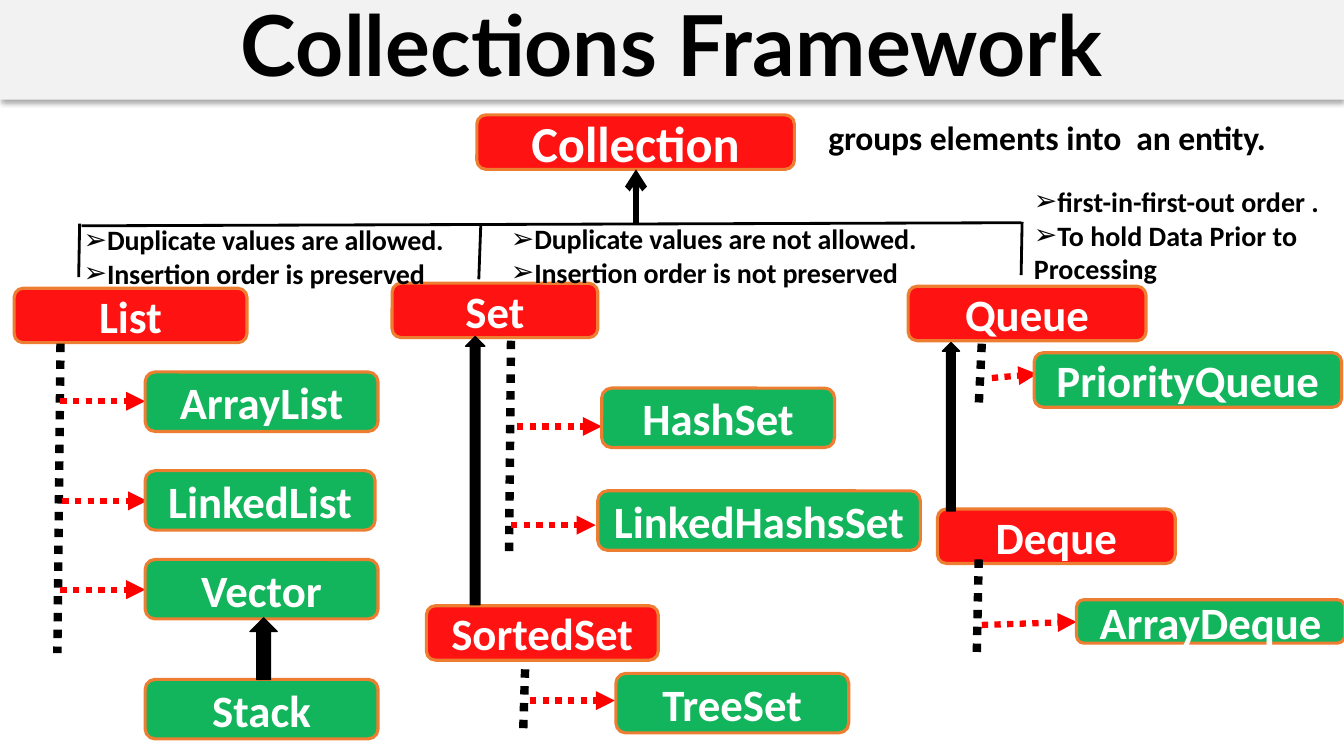
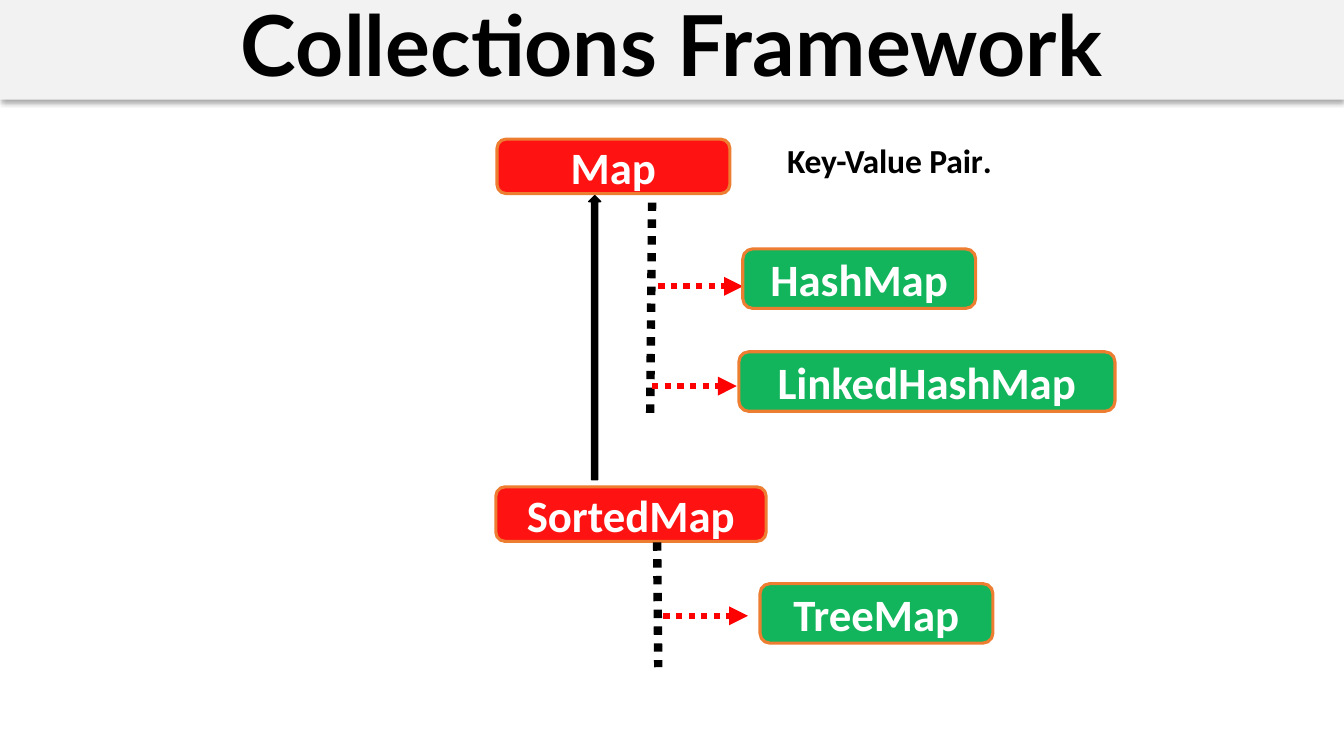
from collections import namedtuple

from lxml import etree
from pptx import Presentation
from pptx.dml.color import RGBColor
from pptx.enum.dml import MSO_LINE
from pptx.enum.shapes import MSO_CONNECTOR, MSO_SHAPE
from pptx.enum.text import MSO_ANCHOR, MSO_AUTO_SIZE, PP_ALIGN
from pptx.oxml.ns import qn
from pptx.util import Pt

RECT = MSO_SHAPE.RECTANGLE
ROUNDED = MSO_SHAPE.ROUNDED_RECTANGLE
UP_ARROW = MSO_SHAPE.UP_ARROW
STRAIGHT = MSO_CONNECTOR.STRAIGHT
DOTTED = MSO_LINE.ROUND_DOT
MIDDLE, BOTTOM = MSO_ANCHOR.MIDDLE, MSO_ANCHOR.BOTTOM
LEFT, CENTER = PP_ALIGN.LEFT, PP_ALIGN.CENTER
GROW = MSO_AUTO_SIZE.SHAPE_TO_FIT_TEXT

BLACK, WHITE, BAND = "000000", "FFFFFF", "F2F2F2"
INTERFACE, CLASS, BORDER, LINK = "FF0000", "00B050", "ED7D31", "FF0000"
BODY_FONT, TITLE_FONT = "Calibri", "Lato"
SLIDE_W, SLIDE_H = 960, 540
BOX_W, INTERFACE_H, CLASS_H = 166.3, 38.9, 42.5
LINK_W = 60.5

Implementation = namedtuple(
    "Implementation", "name x y link_x link_y w h link_w link_rise",
    defaults=(BOX_W, CLASS_H, LINK_W, 0))


def rgb(value):
    """Turn a hex string into a colour."""
    return RGBColor.from_string(value)


def add_child(parent, tag, **attributes):
    """Append a drawing element with the given attributes."""
    child = etree.SubElement(parent, qn(tag))
    for key, value in attributes.items():
        child.set(key, str(value))
    return child


def add_run(paragraph, text, size, color, font=BODY_FONT, spacing=0):
    """Add one bold run with letter spacing in points."""
    run = paragraph.add_run()
    run.text = text
    run.font.size = Pt(size)
    run.font.name = font
    run.font.bold = True
    run.font.color.rgb = rgb(color)
    if spacing:
        run.font._element.set("spc", str(round(spacing * 100)))


def add_block(slide, preset, box, fill, border=None, border_w=1):
    """Add a filled preset shape without a shadow."""
    block = slide.shapes.add_shape(preset, *map(Pt, box))
    block.shadow.inherit = False
    block.fill.solid()
    block.fill.fore_color.rgb = rgb(fill)
    if border:
        block.line.color.rgb = rgb(border)
        block.line.width = Pt(border_w)
    else:
        block.line.fill.background()
    return block


def add_line(slide, x, y, dx, dy, color, width, dash=None, head=None):
    """Add a straight line from a point along an offset."""
    line = slide.shapes.add_connector(
        STRAIGHT, Pt(x), Pt(y), Pt(x + dx), Pt(y + dy))
    line.line.color.rgb = rgb(color)
    line.line.width = Pt(width)
    if dash:
        line.line.dash_style = dash
    properties = line.element.spPr
    if head:
        add_child(properties.find(qn("a:ln")), "a:tailEnd", type=head)
    add_child(properties, "a:effectLst")


def title_band(slide, box):
    """Place the shadowed band with the shared title."""
    band = add_block(slide, RECT, box, BAND)
    effects = band.element.spPr.find(qn("a:effectLst"))
    shadow = add_child(effects, "a:outerShdw", blurRad=Pt(3.5), dist=Pt(2.2),
                       dir=90 * 60000, algn="t", rotWithShape=0)
    color = add_child(shadow, "a:srgbClr", val=BLACK)
    add_child(color, "a:alpha", val=32000)
    frame = band.text_frame
    frame.word_wrap = True
    frame.vertical_anchor = BOTTOM
    heading = frame.paragraphs[0]
    heading.alignment = CENTER
    heading.line_spacing = 0.9
    add_run(heading, "Collections Framework", 60, BLACK, TITLE_FONT, 0.1)


def type_box(slide, box, name, fill, size=32):
    """Place a rounded box that names an interface or a class."""
    block = add_block(slide, ROUNDED, box, fill, BORDER, 2.25)
    color = block.element.spPr.find(qn("a:solidFill"))[0]
    add_child(color, "a:alpha", val=93000)
    frame = block.text_frame
    frame.word_wrap = True
    frame.vertical_anchor = MIDDLE
    label = frame.paragraphs[0]
    label.alignment = CENTER
    add_run(label, name, size, WHITE)


def extends_arrow(slide, box):
    """Place the solid arrow from a subtype up to its parent."""
    add_block(slide, UP_ARROW, box, BLACK, BLACK)


def branch(slide, box, name, stem, implementations):
    """Place an interface, its dotted stem and its implementing classes."""
    left, top = box[:2]
    type_box(slide, box, name, INTERFACE)
    stem_x, stem_y, lean, length = stem
    add_line(slide, left + stem_x, top + stem_y, lean, length,
             BLACK, 6, DOTTED)
    for item in implementations:
        add_line(slide, left + item.link_x, top + item.link_y,
                 item.link_w, item.link_rise, LINK, 4.5, DOTTED, "triangle")
        type_box(slide, (left + item.x, top + item.y, item.w, item.h),
                 item.name, CLASS)


def root(slide, box):
    """Place the root interface and the lines down to its three branches."""
    left, top, width, height = box
    type_box(slide, box, "Collection", INTERFACE, 36)
    trunk_y = top + height + 38.8
    add_line(slide, left - 282.3, trunk_y + 1.5, 671.1, -2.2, BLACK, 2)
    add_line(slide, left + width / 2 + 0.3, trunk_y, 0, -38.8,
             BLACK, 4.5, head="arrow")
    for x, y, lean in ((-283.7, 0, -0.7), (2.8, 1.5, -1.4),
                       (389.5, -1.4, -0.7)):
        add_line(slide, left + x, trunk_y + y, lean, 38.2, BLACK, 2)


def caption(slide, box, paragraphs, size, wrap=True):
    """Place a note; each paragraph is a bullet flag and its spaced runs."""
    note = slide.shapes.add_textbox(*map(Pt, box))
    frame = note.text_frame
    frame.word_wrap = wrap
    frame.auto_size = GROW
    for index, (bulleted, runs) in enumerate(paragraphs):
        line = frame.add_paragraph() if index else frame.paragraphs[0]
        line.alignment = LEFT
        if bulleted:
            properties = line._p.get_or_add_pPr()
            add_child(properties, "a:buFont", typeface="Arial")
            add_child(properties, "a:buChar", char="➢")
        for text, spacing in runs:
            add_run(line, text, size, BLACK, spacing=spacing)


def new_slide(deck):
    """Add a blank slide with the shared title band."""
    slide = deck.slides.add_slide(deck.slide_layouts[6])
    title_band(slide, (0, -0.7, SLIDE_W, 72))
    return slide


def collection_slide(deck):
    """Build the hierarchy of lists, sets and queues."""
    slide = new_slide(deck)
    branch(slide, (10.1, 205.9, BOX_W, INTERFACE_H), "List",
           (33.1, 39.6, -2.2, 221), (
               Implementation("ArrayList", 93.6, 59.8, 33.1, 80.7),
               Implementation("LinkedList", 93.6, 130.3, 34.5, 151.9, 164.2),
               Implementation("Vector", 93.6, 193.7, 33.1, 215.3)))
    type_box(slide, (103.7, 485.3, BOX_W, CLASS_H), "Stack", CLASS)
    branch(slide, (280.1, 202.3, 146.9, INTERFACE_H), "Set",
           (84.9, 41.1, -1.4, 152.6), (
               Implementation("HashSet", 149.7, 74.9, 89.3, 102.3),
               Implementation("LinkedHashsSet", 146.9, 148.3,
                              84.9, 172.8, 230.4)))
    branch(slide, (304.6, 432.7, 165.6, INTERFACE_H), "SortedSet",
           (70.5, 45.4, -1.4, 44.6), (
               Implementation("TreeSet", 135.3, 48.3, 74.1, 67.7),))
    branch(slide, (648.7, 204.5, 169.9, INTERFACE_H), "Queue",
           (52.6, 41, -2.2, 44.7), (
               Implementation("PriorityQueue", 90, 47.5, 59.8, 65.5,
                              219.6, INTERFACE_H, 32.4, -2.9),))
    branch(slide, (669.6, 363.6, 169.9, INTERFACE_H), "Deque",
           (29.5, 36, -1.4, 68.4), (
               Implementation("ArrayDeque", 99.4, 64.8, 31.7, 82.8,
                              191.5, 31, 67.7, -2.2),))
    for arrow in ((178.6, 441.4, 19.4, 43.9), (332.6, 240.5, 13.7, 191.5),
                  (673.2, 244.8, 12.2, 120.2)):
        extends_arrow(slide, arrow)
    root(slide, (340.6, 82.1, 226.8, INTERFACE_H))
    caption(slide, (584.6, 79.9, 326.9, 36), [
        (False, [("groups ", -0.1), ("elements ", 0), ("into  ", -0.1),
                 ("an ", 0), ("entity.", -0.2)])], 24, wrap=False)
    caption(slide, (52.6, 155.5, 338.4, 55.4), [
        (True, [("Duplicate values are allowed.", -0.1)]),
        (True, [("Insertion order is preserved", -0.1)])], 20)
    caption(slide, (357.8, 154.8, 338.4, 55.4), [
        (True, [("Duplicate values are not allowed.", -0.1)]),
        (True, [("Insertion order is not preserved", -0.1)])], 20)
    caption(slide, (731.5, 128.2, 338.4, 79.9), [
        (True, [("first-in-first-out order .", 0)]),
        (True, [("To hold Data Prior to ", 0)]),
        (False, [("Processing", 0)])], 20)


def map_slide(deck):
    """Build the hierarchy of maps."""
    slide = new_slide(deck)
    branch(slide, (355, 99.4, BOX_W, INTERFACE_H), "Map",
           (110.8, 45.3, -1.4, 153.4), (
               Implementation("HashMap", 175.6, 78.4, 115.2, 105.1),
               Implementation("LinkedHashMap", 172.8, 151.9,
                              110.8, 176.4, 268.6)))
    branch(slide, (354.2, 347.8, 193, INTERFACE_H), "SortedMap",
           (115.2, 39.6, 0.8, 89.2), (
               Implementation("TreeMap", 188.7, 69.1, 119.6, 92.1),))
    extends_arrow(slide, (420.5, 139.7, 8.6, 203))
    caption(slide, (555.1, 96.5, 179.3, 36), [
        (False, [("Key-Value Pair", -0.1), (".", -0.2)])], 24)


def main():
    """Build and save the deck."""
    deck = Presentation()
    deck.slide_width, deck.slide_height = Pt(SLIDE_W), Pt(SLIDE_H)
    collection_slide(deck)
    map_slide(deck)
    deck.save("out.pptx")


main()
